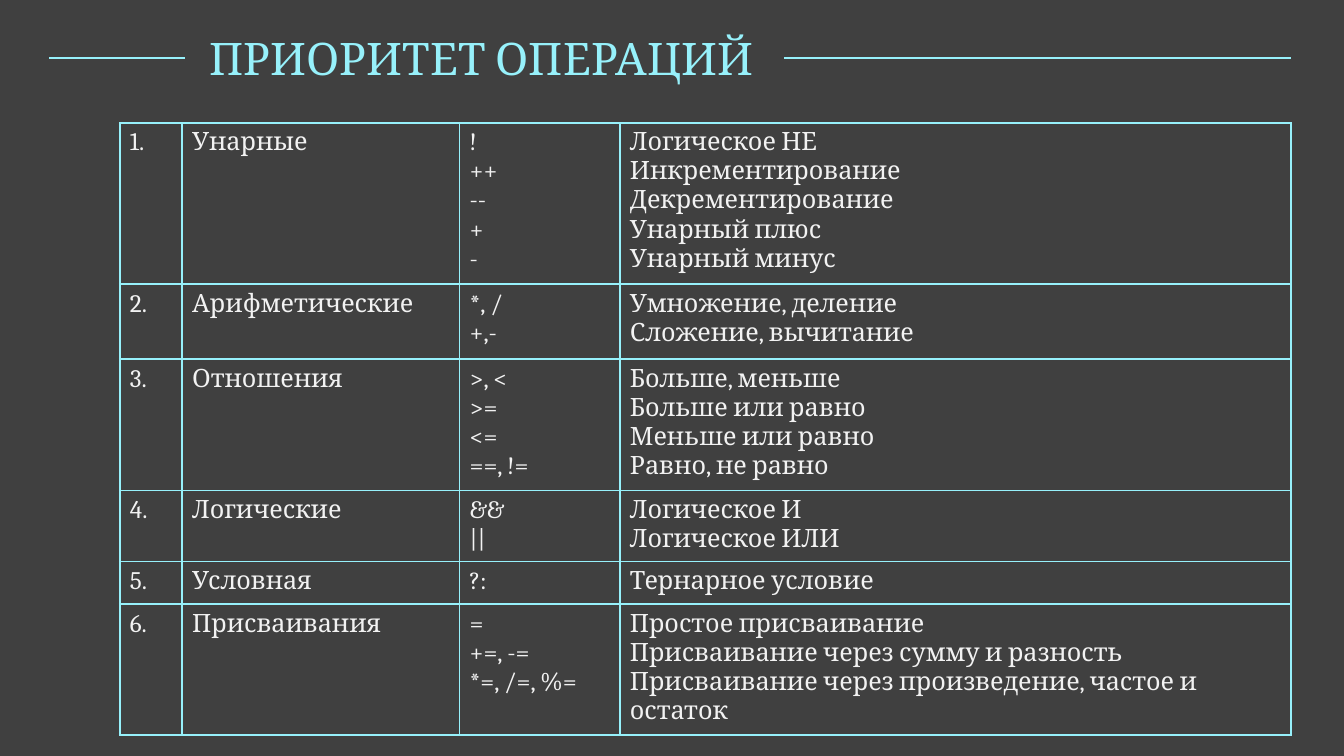
"""Build the slide on operator precedence: a ruled heading above a table."""
from lxml.etree import SubElement
from pptx import Presentation
from pptx.dml.color import RGBColor
from pptx.enum.shapes import MSO_CONNECTOR as Connector
from pptx.enum.text import MSO_AUTO_SIZE as AutoSize
from pptx.oxml import parse_xml
from pptx.oxml.ns import nsdecls, qn
from pptx.util import Cm, Pt

BACKGROUND = RGBColor(0x40, 0x40, 0x40)
ACCENT = RGBColor(0x97, 0xF1, 0xFB)
TEXT = RGBColor(0xF2, 0xF2, 0xF2)
RULE_WIDTH = Pt(1.5)

HEADING_FORMAT = {"name": "Cambria", "size": Pt(32), "bold": False}
CELL_FORMAT = {"name": "Cambria", "size": Pt(18), "bold": False}

COLUMN_WIDTHS = [1.57, 6.99, 4.04, 16.92]
OPERATIONS = [
    (4.06, "Унарные", [
        ("!", "Логическое НЕ"),
        ("++", "Инкрементирование"),
        ("--", "Декрементирование"),
        ("+", "Унарный плюс"),
        ("-", "Унарный минус")]),
    (1.89, "Арифметические", [
        ("*, /", "Умножение, деление"),
        ("+,-", "Сложение, вычитание")]),
    (3.3, "Отношения", [
        (">, <", "Больше, меньше"),
        (">=", "Больше или равно"),
        ("<=", "Меньше или равно"),
        ("==, !=", "Равно, не равно")]),
    (1.79, "Логические", [
        ("&&", "Логическое И"),
        ("||", "Логическое ИЛИ")]),
    (1.08, "Условная", [
        ("?:", "Тернарное условие")]),
    (3.3, "Присваивания", [
        ("=", "Простое присваивание"),
        ("+=, -=", "Присваивание через сумму и разность"),
        ("*=, /=, %=", "Присваивание через произведение, частое и остаток")]),
]


def write_lines(frame, lines, values, color):
    """Put each line in its own formatted paragraph."""
    for index, line in enumerate(lines):
        para = frame.add_paragraph() if index else frame.paragraphs[0]
        span = para.add_run()
        span.text = line
        for name, value in values.items():
            setattr(span.font, name, value)
        span.font.color.rgb = color


def draw_borders(cell):
    """Outline all four sides of a table cell."""
    properties = cell._tc.get_or_add_tcPr()
    for index, side in enumerate(("lnL", "lnR", "lnT", "lnB")):
        properties.insert(index, parse_xml(
            f'<a:{side} {nsdecls("a")} w="{RULE_WIDTH}"><a:solidFill>'
            f'<a:srgbClr val="{ACCENT}"/></a:solidFill></a:{side}>'))


deck = Presentation()
deck.slide_width, deck.slide_height = Cm(33.87), Cm(19.05)
page = deck.slides.add_slide(deck.slide_layouts[6])
page.background.fill.solid()
page.background.fill.fore_color.rgb = BACKGROUND

for start, end in [(1.24, 4.65), (19.76, 32.54)]:
    rule = page.shapes.add_connector(
        Connector.STRAIGHT, Cm(start), Cm(1.47), Cm(end), Cm(1.47))
    rule.line.color.rgb = ACCENT
    rule.line.width = RULE_WIDTH
    SubElement(rule._element.spPr, qn("a:effectLst"))

heading = page.shapes.add_textbox(Cm(5.03), Cm(0.66), Cm(14.73), Cm(1.63))
heading.text_frame.word_wrap = False
heading.text_frame.auto_size = AutoSize.SHAPE_TO_FIT_TEXT
write_lines(heading.text_frame, ["ПРИОРИТЕТ ОПЕРАЦИЙ"], HEADING_FORMAT, ACCENT)

table_height = sum(height for height, _, _ in OPERATIONS)
table = page.shapes.add_table(
    len(OPERATIONS), len(COLUMN_WIDTHS), Cm(3.02), Cm(3.1),
    Cm(sum(COLUMN_WIDTHS)), Cm(table_height)).table
table.first_row = False
table.horz_banding = False
for column, width in zip(table.columns, COLUMN_WIDTHS):
    column.width = Cm(width)

for number, (height, group, operators) in enumerate(OPERATIONS, start=1):
    row = table.rows[number - 1]
    row.height = Cm(height)
    symbols, meanings = zip(*operators)
    for cell, lines in zip(row.cells, ([f"{number}. "], [group], symbols, meanings)):
        cell.fill.background()
        draw_borders(cell)
        write_lines(cell.text_frame, lines, CELL_FORMAT, TEXT)

deck.save("out.pptx")
